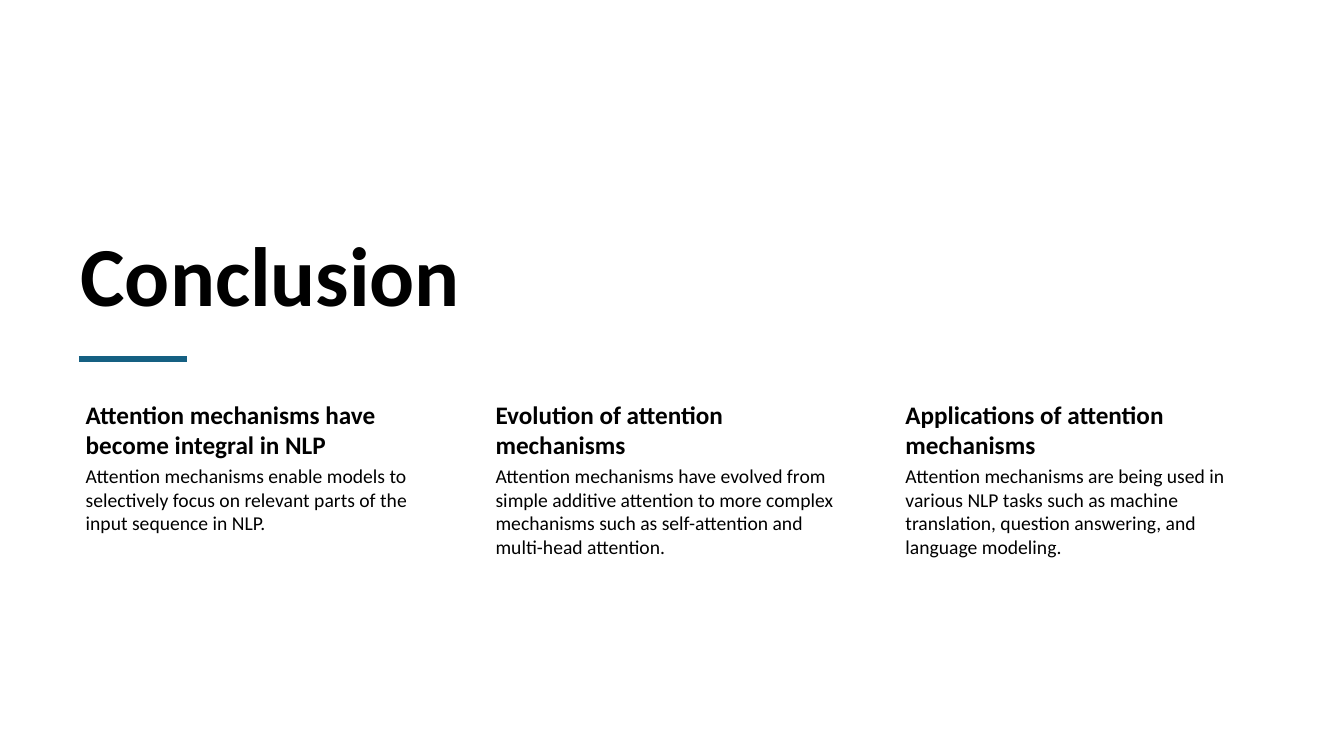
from pptx import Presentation
from pptx.dml.color import RGBColor
from pptx.enum.shapes import MSO_CONNECTOR, MSO_SHAPE
from pptx.enum.text import MSO_ANCHOR as Anchor
from pptx.oxml import parse_xml
from pptx.oxml.ns import nsdecls
from pptx.util import Cm, Pt

BLACK = RGBColor(0x00, 0x00, 0x00)
WHITE = RGBColor(0xFF, 0xFF, 0xFF)
BLUE = RGBColor(0x15, 0x60, 0x82)

COLUMN_LEFT, COLUMN_STEP, COLUMN_WIDTH = 1.78, 10.33, 9.37
HEADING_TOP, HEADING_HEIGHT = 9.98, 1.65
BODY_TOP, BODY_HEIGHT = HEADING_TOP + HEADING_HEIGHT, 5.26

COLUMNS = [
    ("Attention mechanisms have become integral in NLP",
     "Attention mechanisms enable models to selectively focus on relevant "
     "parts of the input sequence in NLP."),
    ("Evolution of attention mechanisms",
     "Attention mechanisms have evolved from simple additive attention to more "
     "complex mechanisms such as self-attention and multi-head attention."),
    ("Applications of attention mechanisms",
     "Attention mechanisms are being used in various NLP tasks such as machine "
     "translation, question answering, and language modeling."),
]

presentation = Presentation()
presentation.slide_width, presentation.slide_height = Cm(33.87), Cm(19.05)
slide = presentation.slides.add_slide(presentation.slide_layouts[6])


def add_text(text, left, top, width, height, size, bold=False,
             anchor=Anchor.TOP, inset_left=0.38, inset=0.06):
    """Add a wrapped text box; lengths are in centimetres, size in points."""
    box = slide.shapes.add_textbox(Cm(left), Cm(top), Cm(width), Cm(height))
    frame = box.text_frame
    frame.word_wrap = True
    frame.vertical_anchor = anchor
    frame.margin_left = Cm(inset_left)
    frame.margin_top = frame.margin_right = frame.margin_bottom = Cm(inset)
    run = frame.paragraphs[0].add_run()
    run.text = text
    run.font.name = "Calibri"
    run.font.size = Pt(size)
    run.font.bold = bold
    run.font.color.rgb = BLACK


background = slide.shapes.add_shape(
    MSO_SHAPE.RECTANGLE, 0, 0, presentation.slide_width, presentation.slide_height)
background.shadow.inherit = False
background.fill.solid()
background.fill.fore_color.rgb = WHITE
background.line.fill.background()

add_text("Conclusion", 1.78, 4.37, 22.68, 3.91, size=60, bold=True,
         anchor=Anchor.BOTTOM, inset_left=0.25, inset=0.13)

accent = slide.shapes.add_connector(
    MSO_CONNECTOR.STRAIGHT, Cm(1.99), Cm(9.04), Cm(4.7), Cm(9.04))
accent.line.color.rgb = BLUE
accent.line.width = Pt(4.5)
accent._element.spPr.append(parse_xml(f"<a:effectLst {nsdecls('a')}/>"))

for index, (heading, body) in enumerate(COLUMNS):
    left = COLUMN_LEFT + index * COLUMN_STEP
    add_text(heading, left, HEADING_TOP, COLUMN_WIDTH, HEADING_HEIGHT,
             size=18, bold=True, inset=0.08)
    add_text(body, left, BODY_TOP, COLUMN_WIDTH, BODY_HEIGHT, size=14)

presentation.save("out.pptx")
